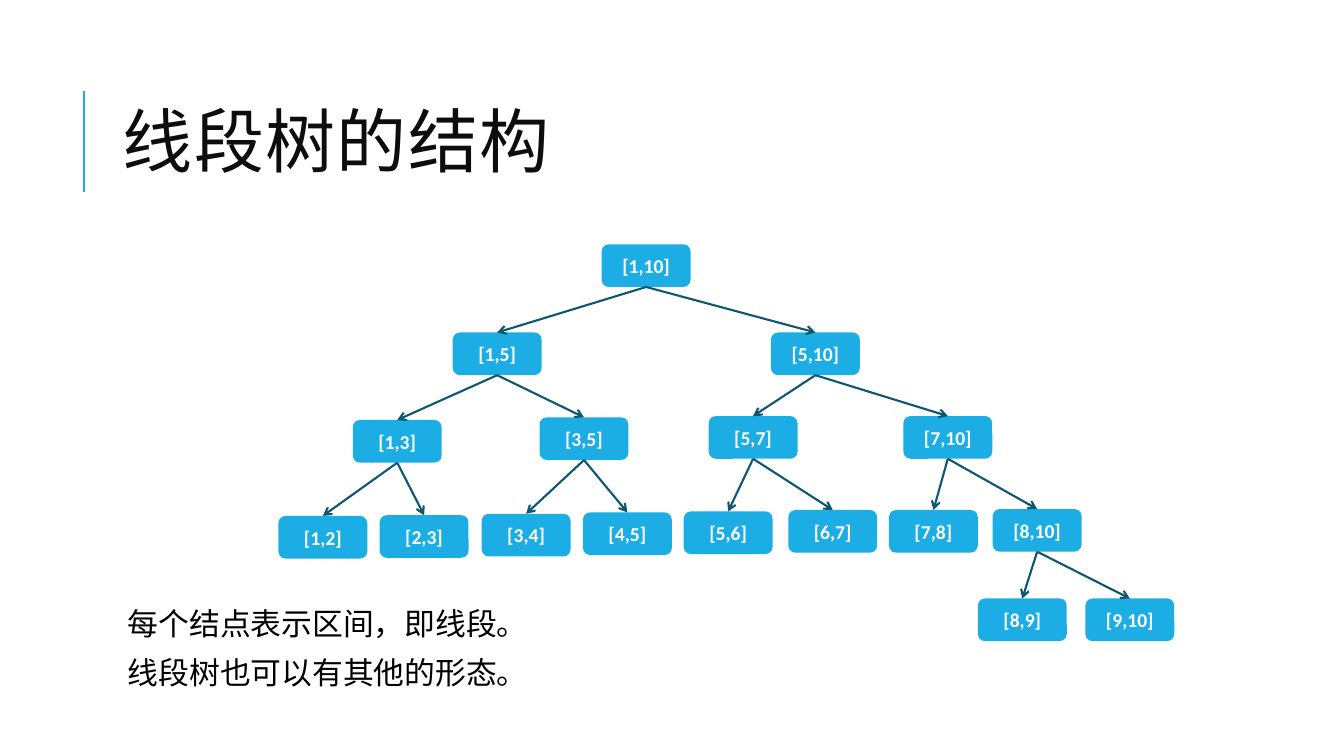
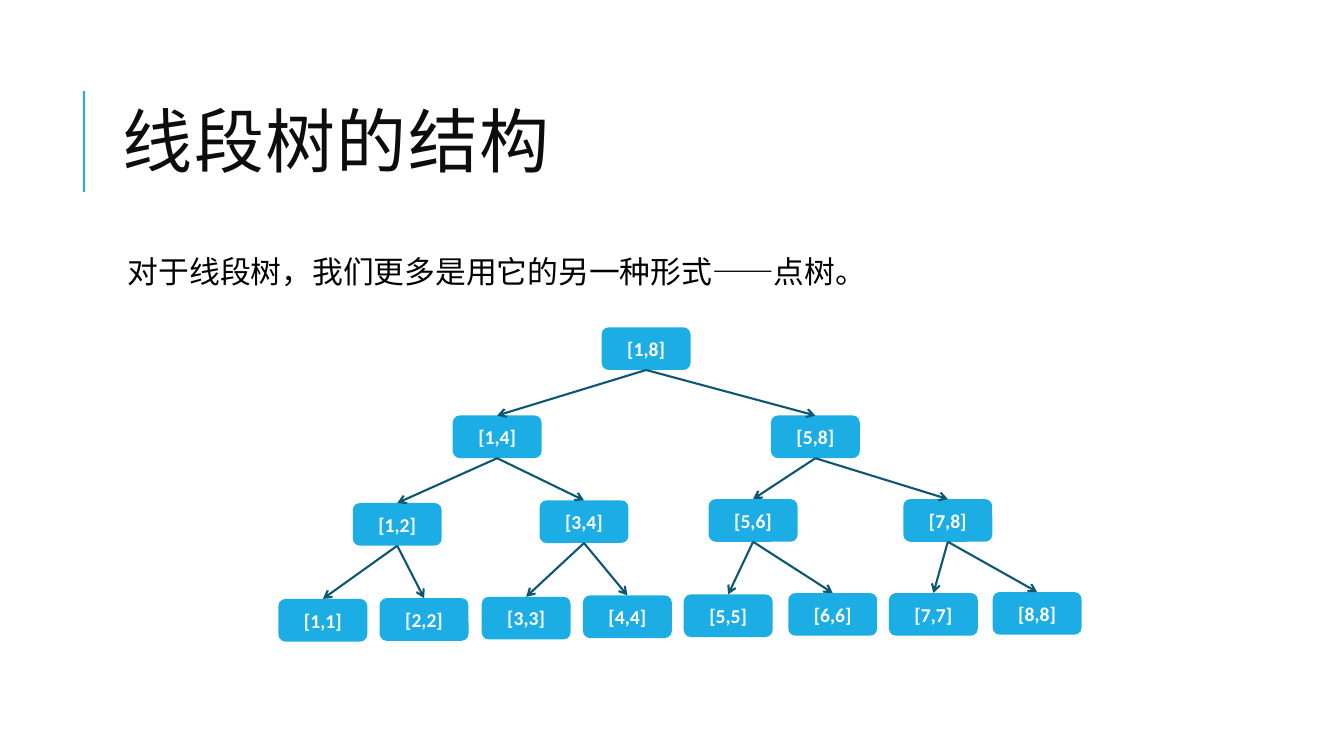
from lxml.etree import SubElement
from pptx import Presentation
from pptx.dml.color import RGBColor
from pptx.enum.lang import MSO_LANGUAGE_ID as Language
from pptx.enum.shapes import MSO_CONNECTOR as Connector, MSO_SHAPE as Shape
from pptx.enum.text import MSO_ANCHOR as Anchor, MSO_AUTO_SIZE as AutoSize, PP_ALIGN as Align
from pptx.oxml.ns import qn
from pptx.util import Pt

ACCENT = RGBColor(0x1C, 0xAD, 0xE4)
BRANCH = RGBColor(0x0E, 0x57, 0x72)
HEADING = RGBColor(0x0D, 0x0D, 0x0D)
BLACK = RGBColor(0, 0, 0)
WHITE = RGBColor(0xFF, 0xFF, 0xFF)

NODE_WIDTH, NODE_HEIGHT = 63.5, 30.5
PARENT_SITE, CHILD_SITE = 2, 0
NODE_PLACES = {
    1: (429.8, 0),
    2: (323.4, 63), 3: (550.7, 63),
    4: (252, 125.5), 5: (385.4, 123.6), 6: (506.2, 122.7), 7: (645.3, 122.7),
    8: (198.9, 194), 9: (271.2, 193.5), 10: (344.1, 192.5), 11: (416.4, 191.5),
    12: (488.4, 190.8), 13: (563.1, 189.8), 14: (635, 189.8), 15: (709.1, 189.1),
    30: (698.5, 253), 31: (775.3, 253),
}


def write_text(paragraph, text, font="Calibri", size=22, color=BLACK, bold=False,
               align=Align.LEFT, line_spacing=1.0, before=0, after=0, tracking=0):
    paragraph.alignment = align
    paragraph.line_spacing = line_spacing
    paragraph.space_before = Pt(before)
    paragraph.space_after = Pt(after)
    run = paragraph.add_run()
    run.text = text
    run.font.name = font
    run.font.size = Pt(size)
    run.font.bold = bold
    run.font.color.rgb = color
    run.font.language_id = Language.SIMPLIFIED_CHINESE
    if tracking:
        run.font._element.set("spc", str(tracking * 100))


def place(placeholder, left, top, width, height, anchor):
    placeholder.left, placeholder.top = Pt(left), Pt(top)
    placeholder.width, placeholder.height = Pt(width), Pt(height)
    frame = placeholder.text_frame
    frame.word_wrap = True
    frame.auto_size = AutoSize.NONE
    frame.vertical_anchor = anchor
    return frame


def add_line(slide, color, start=(0, 0), end=(0, 0)):
    line = slide.shapes.add_connector(Connector.STRAIGHT, *map(Pt, start + end))
    line.line.color.rgb = color
    line.line.width = Pt(1.5)
    SubElement(line._element.spPr, qn("a:effectLst"))
    return line


def add_branch(slide, parent, child):
    branch = add_line(slide, BRANCH)
    branch.begin_connect(parent, PARENT_SITE)
    branch.end_connect(child, CHILD_SITE)
    SubElement(branch.line._get_or_add_ln(), qn("a:tailEnd"), type="arrow")


def add_node(slide, label, left, top):
    node = slide.shapes.add_shape(Shape.ROUNDED_RECTANGLE, Pt(left), Pt(top),
                                  Pt(NODE_WIDTH), Pt(NODE_HEIGHT))
    node.shadow.inherit = False
    node.fill.solid()
    node.fill.fore_color.rgb = ACCENT
    node.line.fill.background()
    node.text_frame.vertical_anchor = Anchor.MIDDLE
    write_text(node.text_frame.paragraphs[0], label, size=14, color=WHITE,
               bold=True, align=Align.CENTER)
    return node


def split_segments(low, high, gap, number=1):
    segments = {number: (low, high)}
    if high - low > 1 - gap:
        middle = (low + high) // 2
        segments.update(split_segments(low, middle, gap, 2 * number))
        segments.update(split_segments(middle + gap, high, gap, 2 * number + 1))
    return segments


def add_tree(slide, high, gap, root_top):
    nodes = {}
    for number, (first, last) in sorted(split_segments(1, high, gap).items()):
        left, drop = NODE_PLACES[number]
        nodes[number] = add_node(slide, f"[{first},{last}]", left, root_top + drop)
    for number, node in nodes.items():
        if number > 1:
            add_branch(slide, nodes[number // 2], node)


def add_remarks(slide, remarks, line_spacing, anchor):
    frame = place(slide.placeholders[1], 80.6, 180, 765.4, 316.8, anchor)
    frame.margin_left = frame.margin_right = Pt(3.6)
    frame.margin_top = frame.margin_bottom = Pt(3.6)
    for index, remark in enumerate(remarks):
        paragraph = frame.add_paragraph() if index else frame.paragraphs[0]
        write_text(paragraph, remark, line_spacing=line_spacing, before=12, after=2)
        properties = paragraph._p.get_or_add_pPr()
        properties.set("marL", str(Pt(7.2)))
        properties.set("indent", str(Pt(-7.2)))
        bullet_color = SubElement(properties, qn("a:buClr"))
        SubElement(bullet_color, qn("a:srgbClr"), val=str(ACCENT))
        SubElement(properties, qn("a:buChar"), char=" ")


def add_structure_slide(deck):
    slide = deck.slides.add_slide(deck.slide_layouts[1])
    add_line(slide, ACCENT, (60, 137), (60, 65))
    heading = place(slide.shapes.title, 80.6, 46.1, 765.4, 118.1, Anchor.MIDDLE)
    write_text(heading.paragraphs[0], "线段树的结构", font="Cabin", size=50,
               color=HEADING, line_spacing=0.8, tracking=1)
    return slide


def main():
    deck = Presentation()
    deck.slide_width, deck.slide_height = Pt(960), Pt(540)

    segment_tree = add_structure_slide(deck)
    add_remarks(segment_tree, ["每个结点表示区间，即线段。", "线段树也可以有其他的形态。"],
                0.8, Anchor.BOTTOM)
    add_tree(segment_tree, high=10, gap=0, root_top=174.5)

    point_tree = add_structure_slide(deck)
    add_remarks(point_tree, ["对于线段树，我们更多是用它的另一种形式——点树。"],
                0.9, Anchor.TOP)
    add_tree(point_tree, high=8, gap=1, root_top=233.8)

    deck.save("out.pptx")


main()
